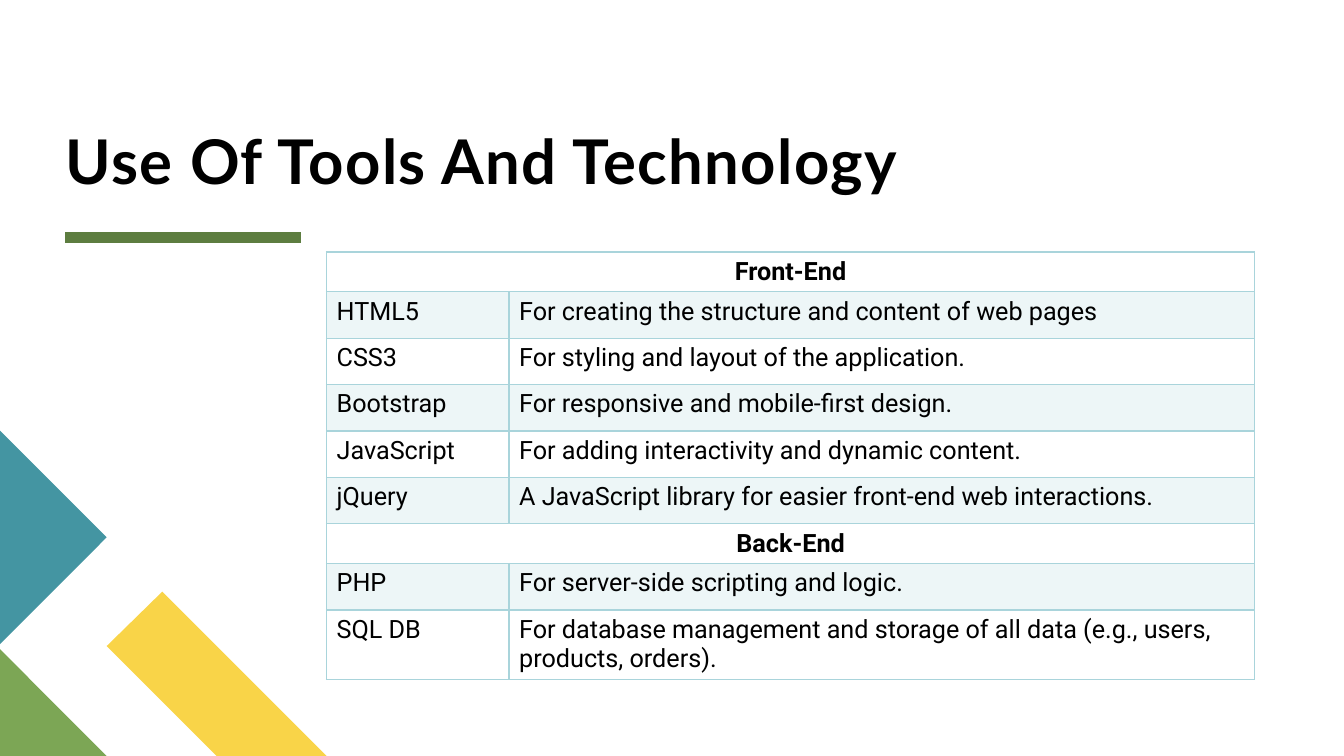
from lxml.etree import SubElement
from pptx import Presentation
from pptx.dml.color import RGBColor
from pptx.enum.shapes import MSO_CONNECTOR
from pptx.enum.text import MSO_ANCHOR as Anchor, MSO_AUTO_SIZE as AutoSize, PP_ALIGN as Align
from pptx.oxml import parse_xml
from pptx.oxml.ns import nsdecls, qn
from pptx.util import Cm, Pt

BLACK = RGBColor(0x00, 0x00, 0x00)
DARK_GREEN = RGBColor(0x5D, 0x7D, 0x40)
GREEN = RGBColor(0x7C, 0xA6, 0x55)
YELLOW = RGBColor(0xF9, 0xD4, 0x48)
TEAL = RGBColor(0x44, 0x95, 0xA2)
PALE_TEAL = RGBColor(0xA9, 0xD4, 0xDB)

STACK = {
    "Front-End": [
        ("HTML5", "For creating the structure and content of web pages"),
        ("CSS3", "For styling and layout of the application."),
        ("Bootstrap", "For responsive and mobile-first design."),
        ("JavaScript", "For adding interactivity and dynamic content."),
        ("jQuery", "A JavaScript library for easier front-end web interactions."),
    ],
    "Back-End": [
        ("PHP", "For server-side scripting and logic."),
        ("SQL DB", "For database management and storage of all data (e.g., users, products, orders)."),
    ],
}
CORNER_PIECES = [
    (YELLOW, [(8.23, 19.05), (5.46, 19.05), (2.69, 16.28), (4.09, 14.91)]),
    (GREEN, [(2.69, 19.05), (0, 19.05), (0, 16.36)]),
    (TEAL, [(0, 10.85), (2.69, 13.54), (0, 16.23)]),
]
HEADING_HEIGHT, TOOL_HEIGHT, LAST_HEIGHT = Cm(1), Cm(1.17), Cm(1.75)


def style_run(run, font_name, size, bold):
    font = run.font
    font.name, font.size, font.bold = font_name, Pt(size), bold
    font.color.rgb = BLACK


def write_title(title, wording):
    title.left, title.top, title.width, title.height = Cm(1.65), Cm(0.28), Cm(30.2), Cm(4.67)
    frame = title.text_frame
    frame.text = wording
    frame.auto_size = AutoSize.NONE
    frame.word_wrap = True
    frame.vertical_anchor = Anchor.BOTTOM
    frame.margin_left = frame.margin_top = frame.margin_right = frame.margin_bottom = 0
    line = frame.paragraphs[0]
    line.alignment = Align.LEFT
    line.line_spacing = 0.8
    run = line.runs[0]
    style_run(run, "Lato", 44, True)
    run.font._element.set("spc", "100")


def add_underline(slide):
    underline = slide.shapes.add_connector(
        MSO_CONNECTOR.STRAIGHT, Cm(1.65), Cm(5.98), Cm(7.58), Cm(5.98))
    underline.line.color.rgb = DARK_GREEN
    underline.line.width = Pt(8)
    SubElement(underline._element.spPr, qn("a:effectLst"))


def add_corner_piece(shapes, color, points):
    start, *rest = [(Cm(x), Cm(y)) for x, y in points]
    outline = shapes.build_freeform(*start)
    outline.add_line_segments(rest, close=True)
    piece = outline.convert_to_shape()
    piece.shadow.inherit = False
    piece.fill.solid()
    piece.fill.fore_color.rgb = color
    piece.line.fill.background()


def tint(cell, shaded):
    if not shaded:
        cell.fill.background()
        return
    cell.fill.solid()
    cell.fill.fore_color.rgb = PALE_TEAL
    SubElement(cell._tc.tcPr.find(".//" + qn("a:srgbClr")), qn("a:alpha"), val="20000")


def add_borders(cell):
    for position, side in enumerate(("lnL", "lnR", "lnT", "lnB")):
        cell._tc.tcPr.insert(position, parse_xml(
            f'<a:{side} {nsdecls("a")} w="12700"><a:solidFill>'
            f'<a:srgbClr val="{PALE_TEAL}"/></a:solidFill></a:{side}>'))


def write_cell(cell, wording, shaded=False, heading=False):
    cell.text = wording
    line = cell.text_frame.paragraphs[0]
    line.alignment = Align.CENTER if heading else Align.LEFT
    cell.vertical_anchor = Anchor.MIDDLE if heading else Anchor.TOP
    style_run(line.runs[0], "Roboto", 18, heading)
    tint(cell, shaded)


def add_stack_table(slide):
    rows = []
    for heading, tools in STACK.items():
        rows.append((heading,))
        rows.extend(tools)
    heights = [HEADING_HEIGHT if len(row) == 1 else TOOL_HEIGHT for row in rows]
    heights[-1] = LAST_HEIGHT
    table = slide.shapes.add_table(
        len(rows), 2, Cm(8.23), Cm(6.35), Cm(23.39), sum(heights)).table
    table.first_row = table.horz_banding = False
    table.columns[0].width, table.columns[1].width = Cm(4.6), Cm(18.79)
    for index, (row, height) in enumerate(zip(rows, heights)):
        table.rows[index].height = height
        name_cell, purpose_cell = table.cell(index, 0), table.cell(index, 1)
        if len(row) == 1:
            name_cell.merge(purpose_cell)
            write_cell(name_cell, row[0], heading=True)
            tint(purpose_cell, False)
        else:
            for cell, wording in zip((name_cell, purpose_cell), row):
                write_cell(cell, wording, shaded=index % 2 == 1)
        for cell in (name_cell, purpose_cell):
            add_borders(cell)


def main():
    deck = Presentation()
    deck.slide_width, deck.slide_height = Cm(33.87), Cm(19.05)
    slide = deck.slides.add_slide(deck.slide_layouts[5])
    add_underline(slide)
    write_title(slide.shapes.title, "Use Of Tools And Technology")
    corner = slide.shapes.add_group_shape()
    for color, points in CORNER_PIECES:
        add_corner_piece(corner.shapes, color, points)
    add_stack_table(slide)
    deck.save("out.pptx")


if __name__ == "__main__":
    main()
